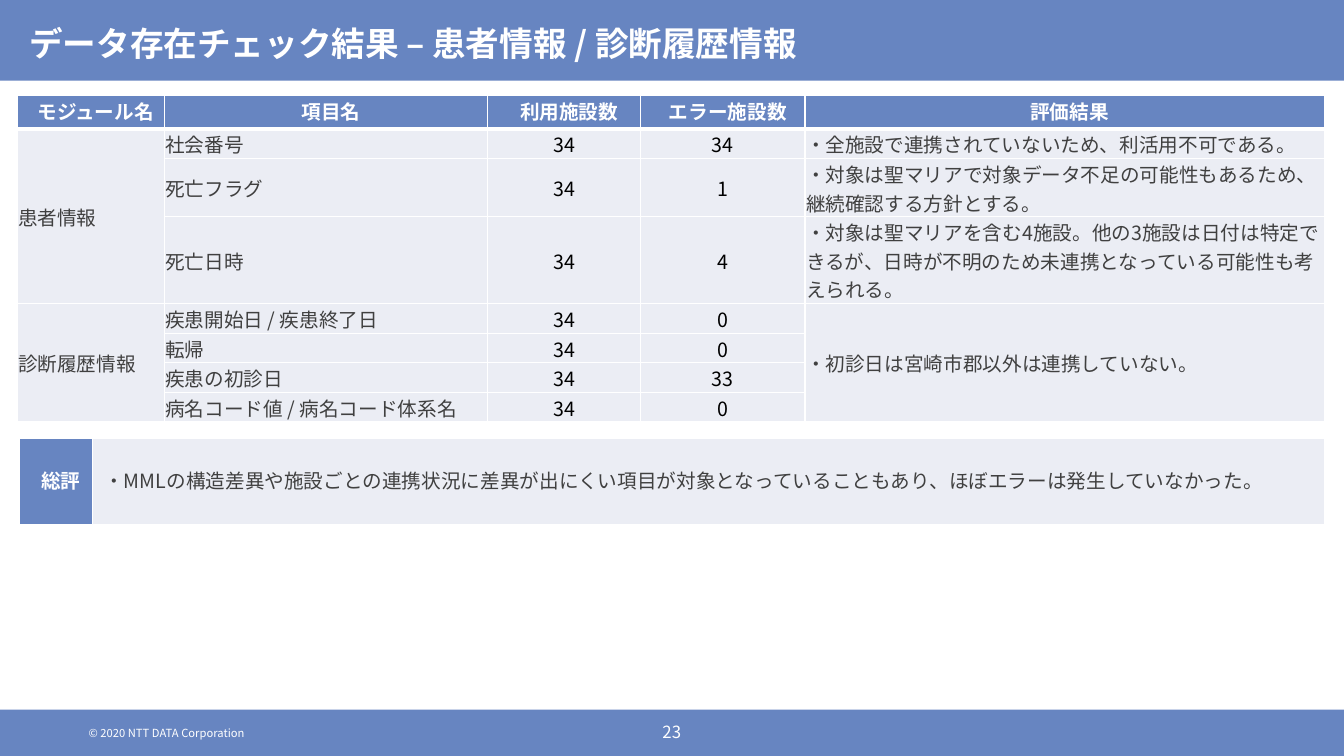
import dataclasses

import pptx
import pptx.dml.color
import pptx.enum.lang
import pptx.enum.shapes
import pptx.enum.text
import pptx.oxml.ns
import pptx.util
from lxml import etree

Pt = pptx.util.Pt
ALIGN = pptx.enum.text.PP_ALIGN
MIDDLE = pptx.enum.text.MSO_ANCHOR.MIDDLE
AUTO = pptx.enum.text.MSO_AUTO_SIZE
qn = pptx.oxml.ns.qn


@dataclasses.dataclass(frozen=True)
class Theme:
    blue: str = "6785C1"
    pale: str = "EBEDF4"
    white: str = "FFFFFF"
    grey: str = "404040"
    black: str = "000000"
    font: str = "Noto Sans CJK JP"
    latin_font: str = "Arial"
    title: int = 24
    body: int = 14
    number: int = 12
    small: int = 8


class SlideBuilder:
    def __init__(self, prs, theme):
        self.theme = theme
        self.s = prs.slides.add_slide(prs.slide_layouts[5])

    def set_all(self, target, values):
        for name, value in values.items():
            setattr(target, name, value)

    def rgb(self, color):
        return pptx.dml.color.RGBColor.from_string(color)

    def add_text(self, tf, text, size, color, bold=False, font=None, **para):
        p = tf.paragraphs[0]
        self.set_all(p, para)
        r = p.add_run()
        r.text = text
        self.set_all(r.font, {
            "size": Pt(size), "bold": bold, "name": font or self.theme.font,
            "language_id": pptx.enum.lang.MSO_LANGUAGE_ID.JAPANESE})
        r.font.color.rgb = self.rgb(color)
        ea = etree.SubElement(r._r.get_or_add_rPr(), qn("a:ea"))
        ea.set("typeface", self.theme.font)
        return p

    def frame(self, tf, left, top, right, bottom, **values):
        self.set_all(tf, {
            "margin_left": Pt(left), "margin_top": Pt(top),
            "margin_right": Pt(right), "margin_bottom": Pt(bottom),
            "word_wrap": True, **values})

    def bar(self, *box):
        sp = self.s.shapes.add_shape(
            pptx.enum.shapes.MSO_SHAPE.RECTANGLE, *map(Pt, box))
        sp.shadow.inherit = False
        sp.fill.solid()
        sp.fill.fore_color.rgb = self.rgb(self.theme.blue)
        sp.line.fill.background()

    def title(self, text, *box):
        sp = self.s.shapes.title
        names = ("left", "top", "width", "height")
        self.set_all(sp, dict(zip(names, map(Pt, box))))
        self.frame(sp.text_frame, 7.2, 8.64, 7.2, 3.6,
                   vertical_anchor=MIDDLE, auto_size=AUTO.NONE)
        self.add_text(sp.text_frame, text, self.theme.title, self.theme.white,
                      bold=True, alignment=ALIGN.LEFT)
        # Bring the title in front of the header bar
        self.s.shapes._spTree.append(sp._element)

    def footer(self, text, size, align, *box):
        sp = self.s.shapes.add_textbox(*map(Pt, box))
        self.frame(sp.text_frame, 7.2, 0, 7.2, 0,
                   auto_size=AUTO.SHAPE_TO_FIT_TEXT)
        self.add_text(sp.text_frame, text, size, self.theme.white,
                      alignment=align)

    def table(self, left, top, widths, heights):
        table = self.s.shapes.add_table(
            len(heights), len(widths), Pt(left), Pt(top),
            Pt(sum(widths)), Pt(sum(heights))).table
        self.set_all(table, {"first_row": False, "horz_banding": False})
        for column, width in zip(table.columns, widths):
            column.width = Pt(width)
        for row, height in zip(table.rows, heights):
            row.height = Pt(height)
        return table

    def style_cell(self, cell, fill, margins, bottom=1):
        names = ("margin_left", "margin_top", "margin_right", "margin_bottom")
        self.set_all(cell, dict(zip(names, map(Pt, margins))))
        cell.vertical_anchor = MIDDLE
        for side, width in (("L", 1), ("R", 1), ("T", 1), ("B", bottom)):
            ln = etree.SubElement(cell._tc.get_or_add_tcPr(),
                                  qn(f"a:ln{side}"), w=str(Pt(width)))
            solid = etree.SubElement(ln, qn("a:solidFill"))
            etree.SubElement(solid, qn("a:srgbClr"), val=self.theme.white)
        cell.fill.solid()
        cell.fill.fore_color.rgb = self.rgb(fill)

    def label_cell(self, cell, text, fill, color, align=ALIGN.CENTER,
                   bottom=1, **style):
        self.style_cell(cell, fill, (1.44, 0, 1.44, 0), bottom)
        p = self.add_text(cell.text_frame, text, self.theme.body, color,
                          alignment=align, line_spacing=Pt(18), **style)
        pPr = p._p.get_or_add_pPr()
        pPr.set("marL", str(Pt(7.2)))
        pPr.set("indent", "0")

    def value_cell(self, cell, value):
        self.style_cell(cell, self.theme.pale, (0.72, 0.72, 0.72, 0))
        if value is None:
            return
        number = isinstance(value, int)
        self.add_text(cell.text_frame, str(value), self.theme.body,
                      self.theme.black if number else self.theme.grey,
                      alignment=ALIGN.CENTER if number else ALIGN.LEFT)


HEADERS = ["モジュール名", "項目名", "利用施設数", "エラー施設数", "評価結果"]
RESULTS = [
    ["患者情報", "社会番号", 34, 34,
     "・全施設で連携されていないため、利活用不可である。"],
    [None, "死亡フラグ", 34, 1,
     "・対象は聖マリアで対象データ不足の可能性もあるため、継続確認する方針とする。"],
    [None, "死亡日時", 34, 4,
     "・対象は聖マリアを含む4施設。他の3施設は日付は特定できるが、"
     "日時が不明のため未連携となっている可能性も考えられる。"],
    ["診断履歴情報", "疾患開始日 / 疾患終了日", 34, 0,
     "・初診日は宮崎市郡以外は連携していない。"],
    [None, "転帰", 34, 0, None],
    [None, "疾患の初診日", 34, 33, None],
    [None, "病名コード値 / 病名コード体系名", 34, 0, None],
]
MERGES = [(1, 0, 3), (4, 0, 7), (4, 4, 7)]  # first row, column, last row
SUMMARY = ("・MMLの構造差異や施設ごとの連携状況に差異が出にくい項目が対象と"
           "なっていることもあり、ほぼエラーは発生していなかった。")


def main():
    prs = pptx.Presentation()
    prs.slide_width, prs.slide_height = Pt(960), Pt(540)
    theme = Theme()
    b = SlideBuilder(prs, theme)

    # Header and footer bars
    b.bar(0, 0, 960, 57.6)
    b.bar(0, 506.9, 960, 33.1)
    b.footer("© 2020 NTT DATA Corporation", theme.small, ALIGN.LEFT,
             56.2, 519.1, 247.7, 9.4)
    b.footer("23", theme.number, ALIGN.CENTER, 453.6, 515.5, 52.6, 14.4)
    b.title("データ存在チェック結果 – 患者情報 / 診断履歴情報",
            13.7, 0, 932.4, 56.9)

    # Check results
    results = b.table(12.2, 68.4, [105.1, 231, 109.4, 117.4, 370.8],
                      [23.8] + [20.2] * len(RESULTS))
    for first, column, last in MERGES:
        results.cell(first, column).merge(results.cell(last, column))
    for column, text in enumerate(HEADERS):
        b.label_cell(results.cell(0, column), text, theme.blue, theme.white,
                     bottom=3, bold=True)
    for row, values in enumerate(RESULTS, 1):
        for column, value in enumerate(values):
            b.value_cell(results.cell(row, column), value)

    # Overall comment
    summary = b.table(13.7, 313.2, [52.2, 880.2], [61.2])
    b.label_cell(summary.cell(0, 0), "総評", theme.blue, theme.white,
                 bold=True, font=theme.latin_font)
    b.label_cell(summary.cell(0, 1), SUMMARY, theme.pale, theme.grey,
                 align=ALIGN.JUSTIFY)

    prs.save("out.pptx")


if __name__ == "__main__":
    main()
